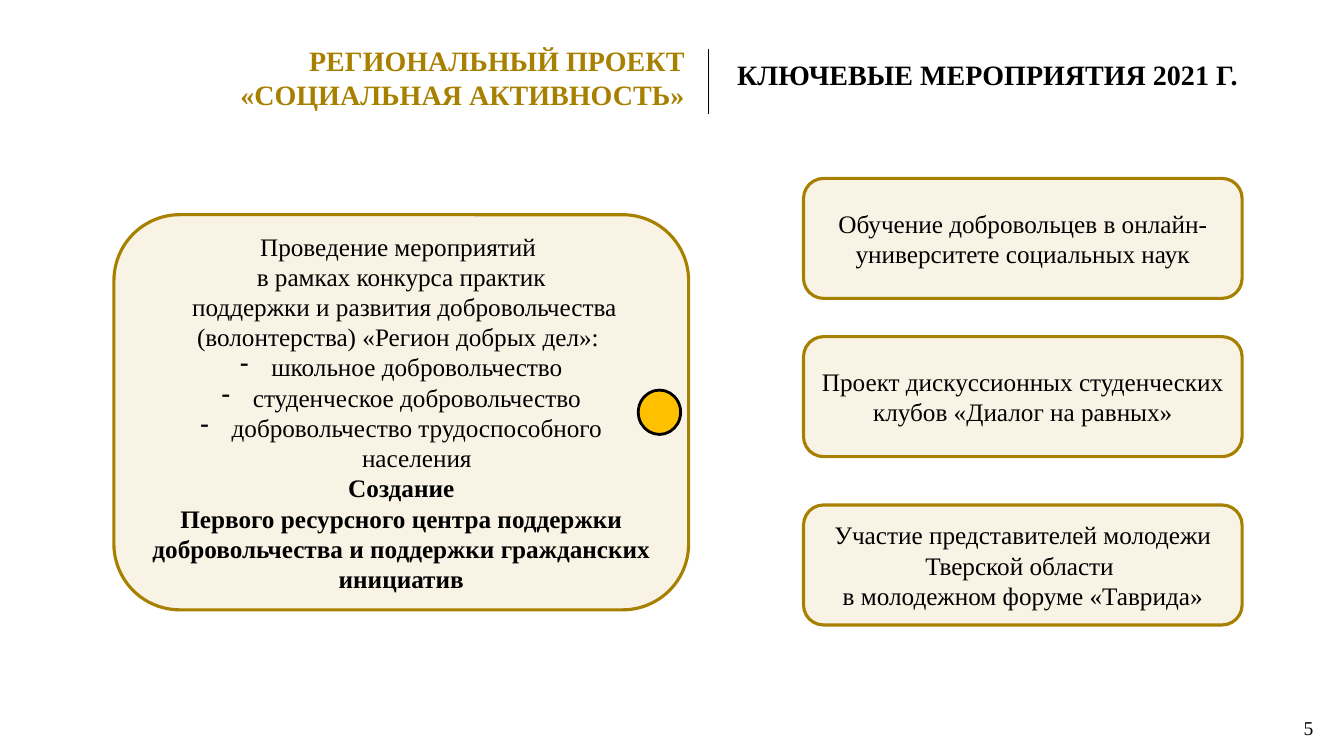
from dataclasses import dataclass

from lxml import etree
from pptx import Presentation
from pptx.dml.color import RGBColor
from pptx.enum import shapes, text
from pptx.oxml import ns
from pptx.util import Inches, Pt

GOLD = RGBColor(0xA8, 0x80, 0x00)
CREAM = RGBColor(0xF8, 0xF3, 0xE4)
AMBER = RGBColor(0xFF, 0xC0, 0x00)
BLACK = RGBColor(0x00, 0x00, 0x00)
FONT = "Times New Roman"
WIDTH, HEIGHT = Inches(13.33), Inches(7.5)
HANGING = Inches(0.31)
LEFT, CENTER, RIGHT = text.PP_ALIGN.LEFT, text.PP_ALIGN.CENTER, text.PP_ALIGN.RIGHT
TOP, MIDDLE = text.MSO_ANCHOR.TOP, text.MSO_ANCHOR.MIDDLE


@dataclass
class Area:
    """A rectangle in percent of the slide's width and height."""
    left: float
    top: float
    width: float
    height: float

    def lengths(self) -> tuple:
        return across(self.left), down(self.top), across(self.width), down(self.height)


@dataclass
class Line:
    wording: str
    bold: bool = False
    dash: bool = False


@dataclass
class Label:
    area: Area
    line: Line
    size: int
    color: RGBColor = BLACK
    align: int = LEFT
    anchor: int = TOP
    insets: tuple = (0.1, 0.05)


@dataclass
class Card:
    area: Area
    lines: list


def across(percent: float) -> int:
    return round(WIDTH * percent / 100)


def down(percent: float) -> int:
    return round(HEIGHT * percent / 100)


def add_dash(para) -> None:
    properties = para._p.get_or_add_pPr()
    properties.set("marL", str(HANGING))
    properties.set("indent", str(-HANGING))
    etree.SubElement(properties, ns.qn("a:buFontTx"))
    etree.SubElement(properties, ns.qn("a:buChar")).set("char", "-")


def write(frame, lines: list, size: int, color: RGBColor, align: int,
          anchor: int, insets: tuple = (0.1, 0.05)) -> None:
    frame.word_wrap = True
    frame.vertical_anchor = anchor
    frame.margin_left = frame.margin_right = Inches(insets[0])
    frame.margin_top = frame.margin_bottom = Inches(insets[1])
    for index, line in enumerate(lines):
        para = frame.add_paragraph() if index else frame.paragraphs[0]
        para.text = line.wording
        para.alignment = align
        if line.dash:
            add_dash(para)
        para.font.name = FONT
        para.font.size = Pt(size)
        para.font.bold = line.bold
        para.font.color.rgb = color


def add_label(page, label: Label) -> None:
    box = page.shapes.add_textbox(*label.area.lengths())
    write(box.text_frame, [label.line], label.size, label.color, label.align,
          label.anchor, label.insets)


def add_figure(page, kind: int, area: Area, fill: RGBColor, outline: RGBColor, weight: float):
    figure = page.shapes.add_shape(kind, *area.lengths())
    figure.shadow.inherit = False
    figure.fill.solid()
    figure.fill.fore_color.rgb = fill
    figure.line.color.rgb = outline
    figure.line.width = Pt(weight)
    return figure


def add_card(page, card: Card) -> None:
    figure = add_figure(page, shapes.MSO_SHAPE.ROUNDED_RECTANGLE, card.area, CREAM, GOLD, 2.25)
    write(figure.text_frame, card.lines, 18, BLACK, CENTER, MIDDLE)


def add_divider(page, column: float, start: float, end: float) -> None:
    divider = page.shapes.add_connector(shapes.MSO_CONNECTOR.STRAIGHT, across(column),
                                        down(start), across(column), down(end))
    divider.line.color.rgb = BLACK
    divider.line.width = Pt(0.75)
    etree.SubElement(divider._element.spPr, ns.qn("a:effectLst"))


def event_area(top: float) -> Area:
    return Area(59.79, top, 32.63, 15.87)


LABELS = [
    Label(Area(8.33, 5.2, 43.14, 9.33), Line("РЕГИОНАЛЬНЫЙ ПРОЕКТ «СОЦИАЛЬНАЯ АКТИВНОСТЬ»", bold=True),
          20, GOLD, RIGHT, insets=(0.07, 0.04)),
    Label(Area(53.26, 4.8, 40.96, 10.13), Line("КЛЮЧЕВЫЕ МЕРОПРИЯТИЯ 2021 Г. ", bold=True),
          20, align=CENTER, anchor=MIDDLE),
    Label(Area(96.25, 94, 3.15, 4.53), Line("5"), 14),
]

CARDS = [
    Card(Area(8.48, 28.4, 42.76, 52.27), [
        Line("Проведение мероприятий "),
        Line("в рамках конкурса практик"),
        Line(" поддержки и развития добровольчества (волонтерства) «Регион добрых дел»: "),
        Line("школьное добровольчество", dash=True),
        Line("студенческое добровольчество", dash=True),
        Line("добровольчество трудоспособного населения", dash=True),
        Line("Создание", bold=True),
        Line("Первого ресурсного центра поддержки добровольчества и поддержки "
             "гражданских инициатив", bold=True),
    ]),
    Card(event_area(23.6), [Line("Обучение добровольцев в онлайн-университете социальных наук")]),
    Card(event_area(44.53), [Line("Проект дискуссионных студенческих клубов «Диалог на равных»")]),
    Card(event_area(66.8), [Line("Участие представителей молодежи Тверской области "),
                            Line("в молодежном форуме «Таврида»")]),
]


def main() -> None:
    deck = Presentation()
    deck.slide_width, deck.slide_height = WIDTH, HEIGHT
    page = deck.slides.add_slide(deck.slide_layouts[6])

    # Headings and page number
    for label in LABELS:
        add_label(page, label)
    add_divider(page, 52.74, 6.53, 15.07)

    # Activities
    for card in CARDS:
        add_card(page, card)

    # Marker on the large card
    add_figure(page, shapes.MSO_SHAPE.OVAL, Area(47.49, 51.6, 3.15, 5.87), AMBER, BLACK, 2)

    deck.save("out.pptx")


if __name__ == "__main__":
    main()
